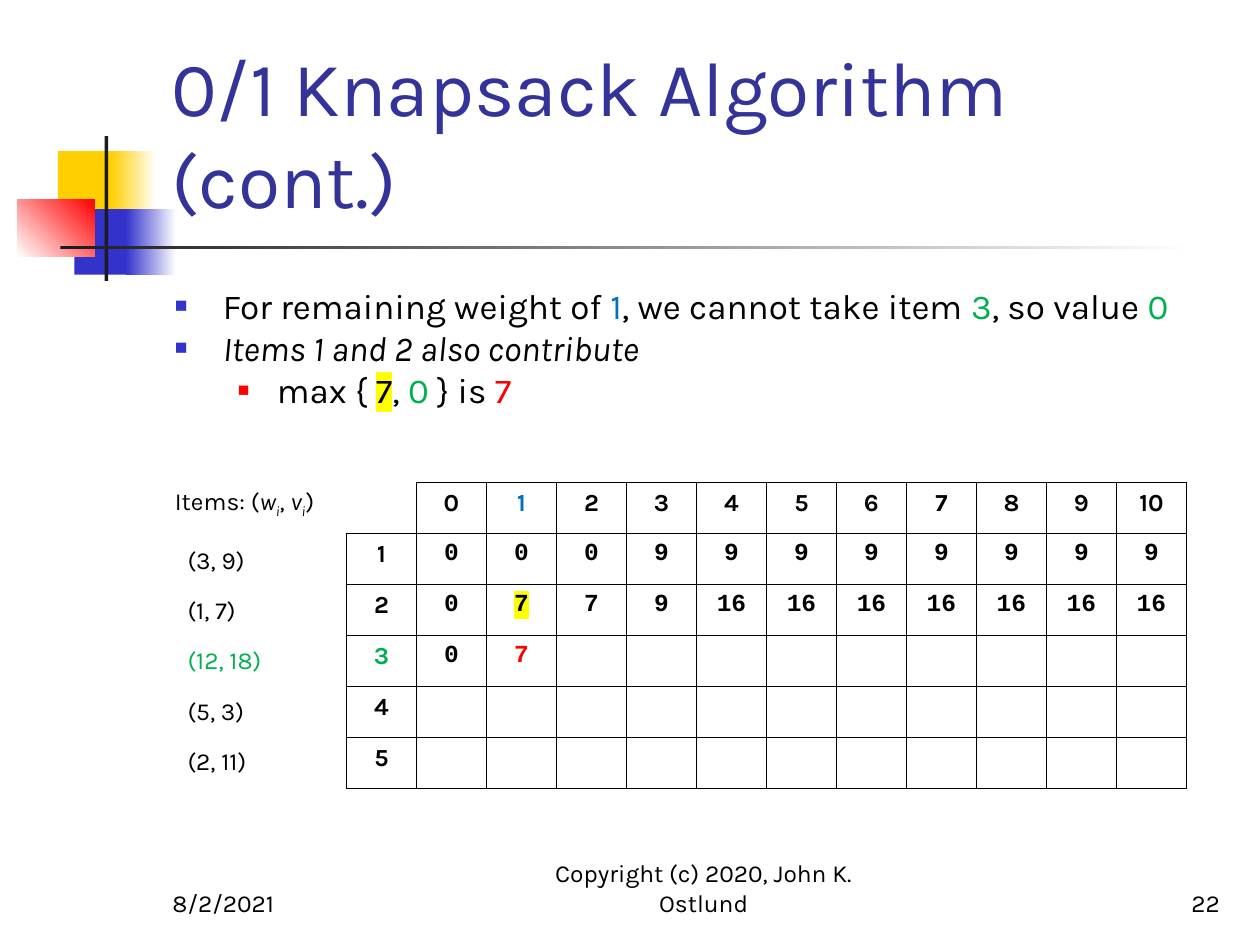
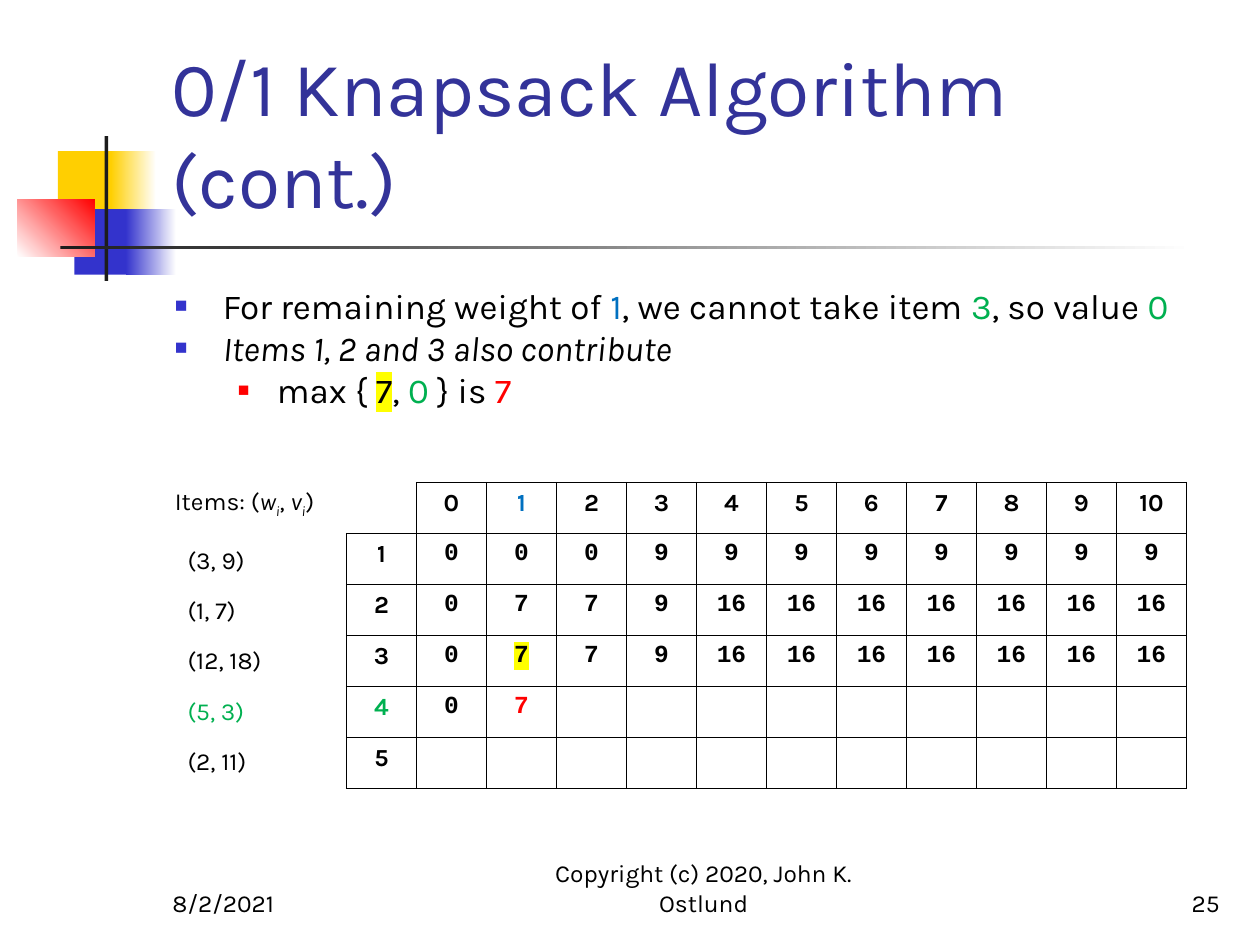
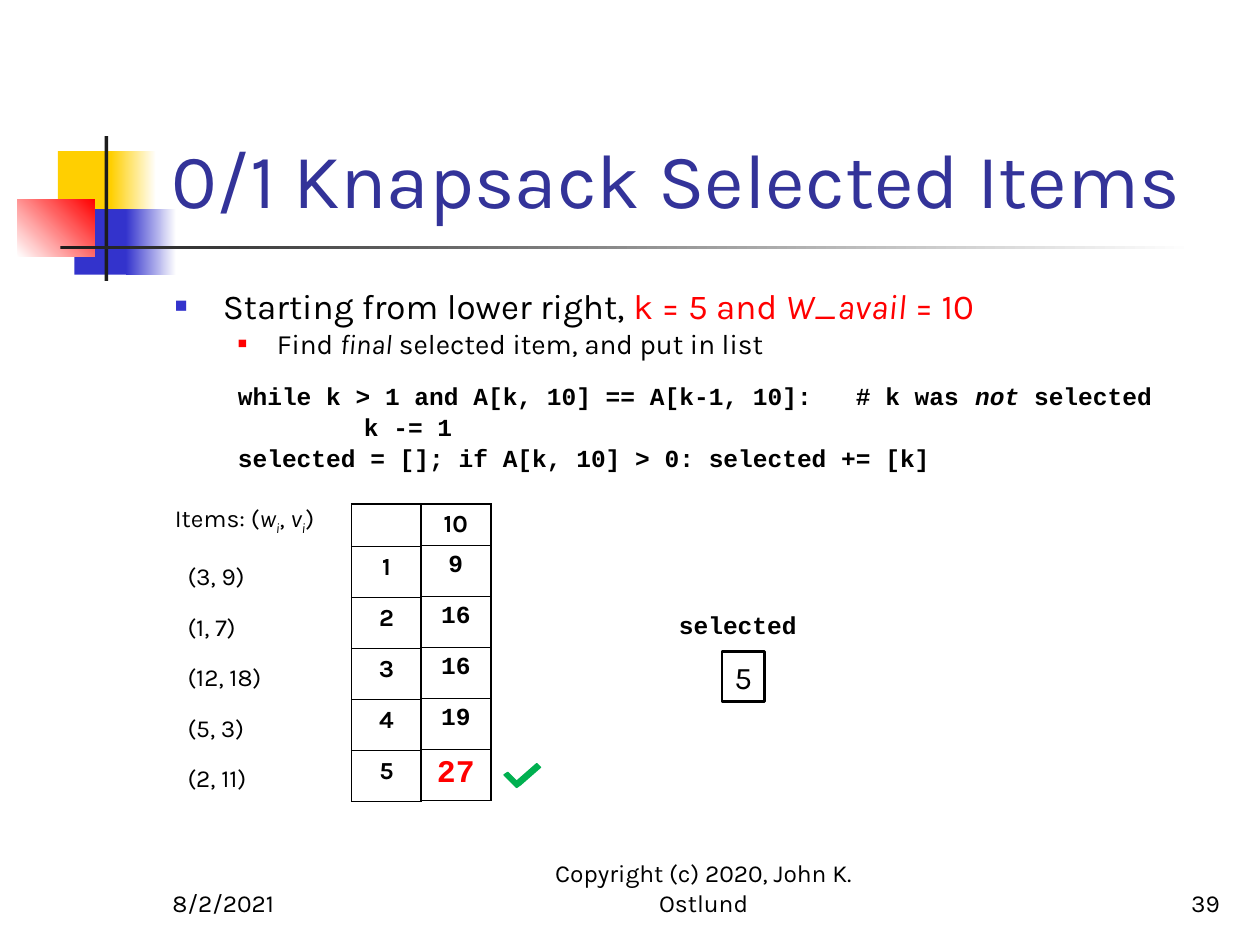
from lxml.etree import SubElement
from pptx import Presentation
from pptx.dml.color import RGBColor
from pptx.enum.shapes import MSO_SHAPE
from pptx.enum.text import MSO_ANCHOR, MSO_AUTO_SIZE, PP_ALIGN
from pptx.oxml import parse_xml
from pptx.oxml.ns import nsdecls, qn
from pptx.util import Inches, Pt

# Shared style
BLACK, WHITE, DARK = "000000", "FFFFFF", "1C1C1C"
YELLOW, INDIGO, RED = "FFCF01", "3333CC", "FF0000"
BLUE, GREEN, MARKER, TITLE = "0070C0", "00B050", "FFFF00", "333399"
SANS, MONO = "Karla", "Courier New"
BASE = {"name": SANS, "size": Pt(14), "color": BLACK}
BOLD = BASE | {"bold": True}
CODE = BOLD | {"name": MONO}
LARGE = BASE | {"size": Pt(20)}
ITALIC, SUBSCRIPT = {"italic": True}, {"italic": True, "baseline": "-25000"}

# Left, top, width, height, colour at the start, colour at the end, angle
DECOR = [
    (0.46, 1.2, 0.48, 0.52, YELLOW, None, 0),
    (0.88, 1.2, 0.36, 0.52, YELLOW, WHITE, 0),
    (0.59, 1.66, 0.46, 0.52, INDIGO, None, 0),
    (1, 1.66, 0.4, 0.52, INDIGO, WHITE, 0),
    (0.14, 1.58, 0.61, 0.46, WHITE, RED, 45),
    (0.83, 1.08, 0.03, 1.15, DARK, None, 0),
    (0.48, 1.95, 9, 0.03, DARK, WHITE, 0),
]
# Margin, hanging indent, bullet colour, bullet size in percent
BULLETS = {0: (0.38, -0.38, INDIGO, 60), 1: (0.81, -0.31, RED, 55)}

# Knapsack data
ITEMS = ["(3, 9)", "(1, 7)", "(12, 18)", "(5, 3)", "(2, 11)"]
BEST = [
    [0] * 3 + [9] * 8,
    [0, 7, 7, 9] + [16] * 7,
    [0, 7, 7, 9] + [16] * 7,
]
ROW = 2.43 / 6
COLUMN = 6.67 / 12


def rgb(code):
    return RGBColor.from_string(code)


class SlideBuilder:
    def __init__(self):
        self.deck = Presentation()
        self.deck.slide_width, self.deck.slide_height = Inches(10), Inches(7.5)
        self.page = None

    def start(self, title, number):
        """Add a page with its decoration, title and footers."""
        self.page = self.deck.slides.add_slide(self.deck.slide_layouts[5])
        for *place, first, last, angle in DECOR:
            self.block(place, first, last, angle)
        holder = self.page.shapes.title
        self.page.shapes._spTree.append(holder._element)
        self.place(holder, (1.26, 0.23, 8.52, 1.6))
        self.frame(holder, MSO_ANCHOR.BOTTOM)
        self.add_spans(holder.text_frame.paragraphs[0], [title],
                       BASE | {"size": Pt(44), "color": TITLE})
        footers = [(1.27, 2.08, "8/2/2021", PP_ALIGN.LEFT),
                   (4, 3.17, "Copyright (c) 2020, John K. Ostlund", PP_ALIGN.CENTER),
                   (7.7, 2.08, str(number), PP_ALIGN.RIGHT)]
        for left, width, words, align in footers:
            box = self.text_box((left, 6.83, width, 0.5), MSO_ANCHOR.BOTTOM)
            self.add_spans(box.text_frame.paragraphs[0], [words], BASE, align)

    def place(self, shape, place):
        for name, value in zip(("left", "top", "width", "height"), place):
            setattr(shape, name, Inches(value))

    def frame(self, shape, anchor, wrap=True):
        settings = {"word_wrap": wrap, "auto_size": MSO_AUTO_SIZE.NONE,
                    "vertical_anchor": anchor}
        for name, value in settings.items():
            setattr(shape.text_frame, name, value)

    def block(self, place, first, last=None, angle=0):
        shape = self.page.shapes.add_shape(MSO_SHAPE.RECTANGLE, *map(Inches, place))
        shape.shadow.inherit = False
        shape.line.fill.background()
        if last:
            shape.fill.gradient()
            shape.fill.gradient_angle = angle
            for stop, color in zip(shape.fill.gradient_stops, (first, last)):
                stop.color.rgb = rgb(color)
        else:
            shape.fill.solid()
            shape.fill.fore_color.rgb = rgb(first)
        return shape

    def text_box(self, place, anchor=MSO_ANCHOR.TOP):
        box = self.page.shapes.add_textbox(*map(Inches, place))
        self.frame(box, anchor)
        return box

    def add_spans(self, para, spans, style, align=PP_ALIGN.LEFT):
        """Fill a paragraph with spans: plain text or (text, format) pairs."""
        para.alignment = align
        for item in spans:
            words, extra = (item, {}) if isinstance(item, str) else item
            span = para.add_run()
            span.text = words
            for name, value in (style | extra).items():
                if name == "color":
                    span.font.color.rgb = rgb(value)
                elif name == "baseline":
                    span.font._element.set(name, value)
                elif name != "highlight":
                    setattr(span.font, name, value)
            if "highlight" in extra:
                mark = parse_xml(f'<a:highlight {nsdecls("a")}><a:srgbClr '
                                 f'val="{extra["highlight"]}"/></a:highlight>')
                span.font._element.find(qn("a:solidFill")).addnext(mark)

    def body(self, lines):
        """Add lines of (spans, style, space before, bullet level, indent)."""
        frame = self.text_box((1.29, 2.21, 8.5, 4.5)).text_frame
        for index, (spans, style, before, level, indent) in enumerate(lines):
            para = frame.add_paragraph() if index else frame.paragraphs[0]
            para.space_before = Pt(before)
            properties = para._p.get_or_add_pPr()
            if level is None:
                properties.set("marL", str(Inches(indent)))
            else:
                margin, hanging, color, percent = BULLETS[level]
                properties.set("marL", str(Inches(margin)))
                properties.set("indent", str(Inches(hanging)))
                SubElement(SubElement(properties, qn("a:buClr")),
                           qn("a:srgbClr"), val=color)
                SubElement(properties, qn("a:buSzPct"), val=str(percent * 1000))
                SubElement(properties, qn("a:buFont"), typeface="Arial")
                SubElement(properties, qn("a:buChar"), char="■")
            self.add_spans(para, spans, style)

    def table(self, left, top, rows, heights, formats, labels, open_corner=False):
        """Draw a ruled grid; labels tells which cells use the sans font."""
        count = len(rows[0])
        frame = self.page.shapes.add_table(
            len(rows), count, Inches(left), Inches(top),
            Inches(COLUMN * count), Inches(sum(heights)))
        table = frame.table
        table.first_row = table.horz_banding = False
        for column in table.columns:
            column.width = Inches(COLUMN)
        for r, values in enumerate(rows):
            table.rows[r].height = Inches(heights[r])
            for c, value in enumerate(values):
                cell = table.cell(r, c)
                cell.fill.background()
                self.borders(cell, "RB" if open_corner and r == c == 0 else "LRTB")
                para = cell.text_frame.paragraphs[0]
                if value == "":
                    SubElement(para._p, qn("a:endParaRPr"), sz="1400")
                else:
                    span = (str(value), formats.get((r, c), {}))
                    self.add_spans(para, [span], BOLD if labels(r, c) else CODE,
                                   PP_ALIGN.CENTER)

    def borders(self, cell, sides):
        properties = cell._tc.get_or_add_tcPr()
        for index, side in enumerate(sides):
            properties.insert(index, parse_xml(
                f'<a:ln{side} {nsdecls("a")} w="12700"><a:solidFill><a:srgbClr '
                f'val="{BLACK}"/></a:solidFill></a:ln{side}>'))

    def outline(self, points, color):
        start, *others = [(Inches(x), Inches(y)) for x, y in points]
        contour = self.page.shapes.build_freeform(*start)
        contour.add_line_segments(others, close=True)
        shape = contour.convert_to_shape()
        shape.shadow.inherit = False
        shape.fill.solid()
        shape.fill.fore_color.rgb = shape.line.color.rgb = rgb(color)
        shape.line.width = Pt(0.75)


def item_lines(before, current=None):
    heading = ["Items: (", ("w", ITALIC), ("i", SUBSCRIPT), ", ",
               ("v", ITALIC), ("i", SUBSCRIPT), ")"]
    lines = [(heading, BASE, before, None, 0)]
    for number, pair in enumerate(ITEMS, 1):
        color = GREEN if number == current else BLACK
        lines.append(([(pair, {"color": color})], BASE,
                      14.4 if number == 1 else 12, None, 0.1))
    return lines


def algorithm_page(slides, number, item, contributors):
    """Show the table while the given item is tried at weight 1."""
    slides.start("0/1 Knapsack Algorithm (cont.)", number)
    green, red, marked = {"color": GREEN}, {"color": RED}, {"highlight": MARKER}
    slides.body([
        (["For remaining weight of ", ("1", {"color": BLUE}),
          ", we cannot take item ", ("3", green), ", so value ", ("0", green)],
         LARGE, 0, 0, 0),
        ([(f"Items {contributors} also contribute", ITALIC)], LARGE, 0, 0, 0),
        (["max { ", ("7", marked), ", ", ("0", green), " } is ", ("7", red)],
         LARGE, 0, 1, 0),
        *item_lines(43, item),
    ])
    rows = [["", *range(11)]]
    for index in range(1, len(ITEMS) + 1):
        known = BEST[index - 1] if index < item else [0, 7] if index == item else []
        rows.append([index, *known] + [""] * (11 - len(known)))
    formats = {(0, 2): {"color": BLUE}, (item - 1, 2): marked,
               (item, 0): green, (item, 2): red}
    slides.table(2.75, 3.83, rows, [ROW] * 6, formats,
                 lambda r, c: r == 0 or c == 0, open_corner=True)


def selection_page(slides, number):
    """Show how the final selected item is found."""
    slides.start("0/1 Knapsack Selected Items", number)
    red = {"color": RED}
    slides.body([
        (["Starting from lower right, ", ("k = 5 and ", red),
          ("W_avail", red | ITALIC), (" = 10", red)], LARGE, 0, 0, 0),
        (["Find ", ("final", ITALIC), " selected item, and put in list"],
         BASE | {"size": Pt(16)}, 0, 1, 0),
        (["while k > 1 and A[k, 10] == A[k-1, 10]:   # k was ",
          ("not", ITALIC), " selected"], CODE, 12, None, 0.5),
        (["k -= 1"], CODE, 1, None, 1.5),
        (["selected = []; if A[k, 10] > 0: selected += [k]"], CODE, 1, None, 0.5),
        *item_lines(17),
    ])
    # Item numbers and last column of the table
    heights = [0.33] + [ROW] * 5
    slides.table(2.79, 4, [[""]] + [[k] for k in range(1, 6)], heights, {},
                 lambda r, c: True)
    slides.table(3.34, 4, [[v] for v in (10, 9, 16, 16, 19, 27)], heights,
                 {(5, 0): red | {"size": Pt(18)}}, lambda r, c: r == 0)
    # List of selected items
    label = slides.text_box((5.29, 4.79, 1.3, 0.32))
    slides.add_spans(label.text_frame.paragraphs[0], ["selected"], CODE)
    chosen = slides.block((5.73, 5.17, 0.34, 0.4), WHITE)
    chosen.fill.background()
    chosen.line.color.rgb = rgb(BLACK)
    chosen.line.width = Pt(1.5)
    slides.frame(chosen, MSO_ANCHOR.MIDDLE, wrap=False)
    slides.add_spans(chosen.text_frame.paragraphs[0], ["5"],
                     BASE | {"size": Pt(18)}, PP_ALIGN.CENTER)
    # Check mark
    slides.outline([(4.26, 6.06), (4.1, 6.2), (4.03, 6.13), (4, 6.15),
                    (4.1, 6.25), (4.13, 6.23), (4.29, 6.09)], GREEN)


def main():
    slides = SlideBuilder()
    algorithm_page(slides, 22, 3, "1 and 2")
    algorithm_page(slides, 25, 4, "1, 2 and 3")
    selection_page(slides, 39)
    slides.deck.save("out.pptx")


if __name__ == "__main__":
    main()
